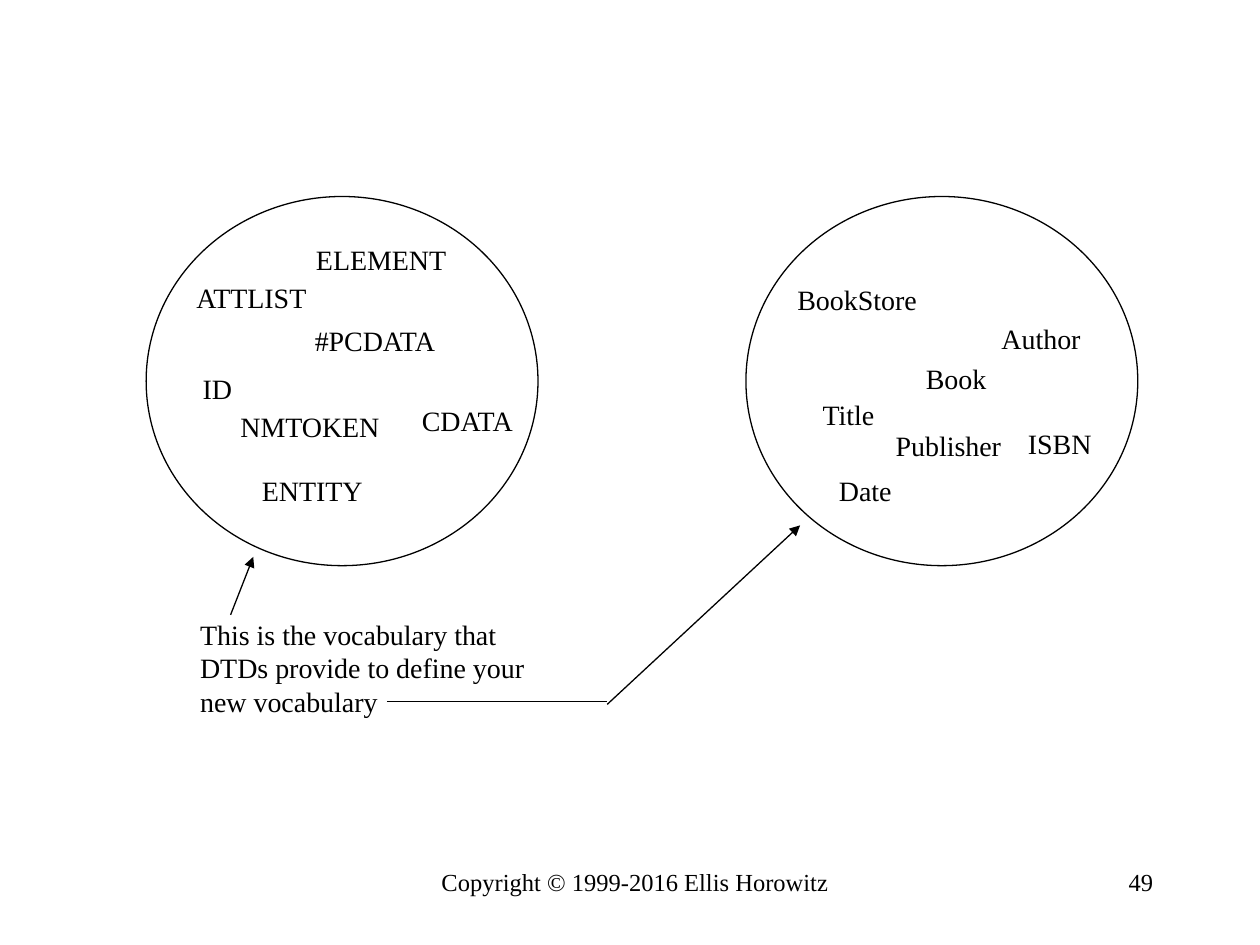
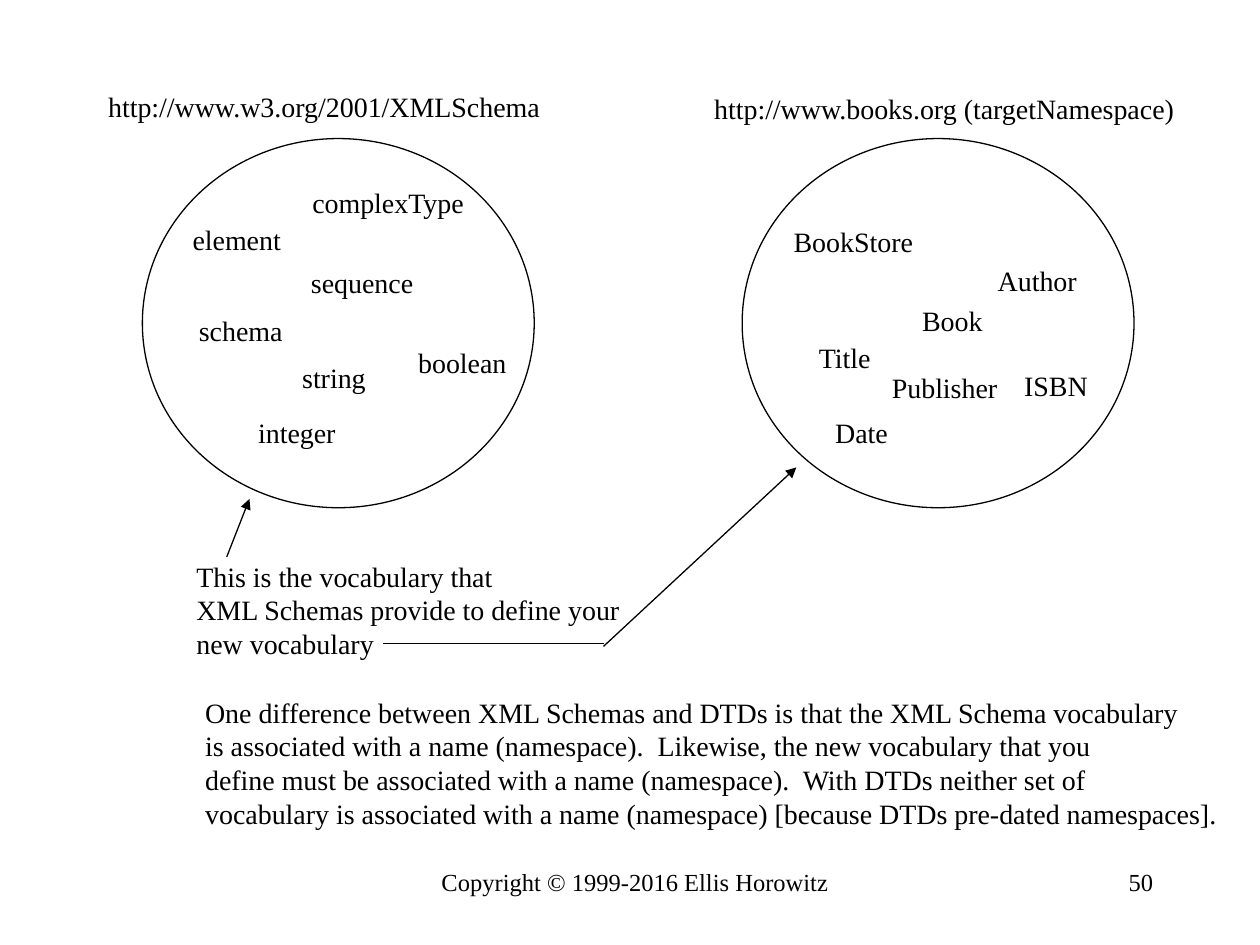
from dataclasses import dataclass

from lxml.etree import SubElement
from pptx import Presentation
from pptx.dml.color import RGBColor
from pptx.enum.shapes import MSO_CONNECTOR, MSO_SHAPE
from pptx.enum.text import MSO_ANCHOR, MSO_AUTO_SIZE, PP_ALIGN
from pptx.oxml.ns import qn
from pptx.util import Inches, Pt


@dataclass(frozen=True)
class Theme:
    font: str = "Times New Roman"
    ink: RGBColor = RGBColor(0, 0, 0)
    paper: RGBColor = RGBColor(255, 255, 255)
    text_size: int = 16
    footer_size: int = 14
    line_width: float = 0.75


COPYRIGHT = "Copyright © 1999-2016 Ellis Horowitz"
CIRCLE_SIZE = (3.11, 2.93)
CIRCLE_STEP = 4.76
LINE_HEIGHT = 0.27

# Word places are measured from the top left corner of the left circle.
LANGUAGE_SPOTS = [(0.3, 0.62), (1.25, 0.32), (0.35, 1.34), (1.24, 0.96),
                  (0.65, 1.64), (0.82, 2.15), (2.09, 1.59)]
BOOK_WORDS = [
    ("BookStore", 1.18, (5.07, 0.63)),
    ("Book", 0.71, (6.09, 1.26)),
    ("Title", 0.65, (5.27, 1.55)),
    ("Author", 0.86, (6.69, 0.94)),
    ("Date", 0.65, (5.4, 2.15)),
    ("ISBN", 0.74, (6.9, 1.78)),
    ("Publisher", 1.07, (5.85, 1.79)),
]
POINTERS = [
    ((0.67, 3.32), (0.85, 2.86), True),
    ((1.91, 4.01), (3.66, 4.01), False),
    ((3.66, 4.03), (5.19, 2.61), True),
]


class PageBuilder:
    def __init__(self, deck, theme):
        self.deck = deck
        self.theme = theme
        self.page = None

    def new_page(self, number):
        self.page = self.deck.slides.add_slide(self.deck.slide_layouts[6])
        fill = self.page.background.fill
        fill.solid()
        fill.fore_color.rgb = self.theme.paper
        self.footer(COPYRIGHT, 3.25, 3.58, PP_ALIGN.CENTER)
        self.footer(str(number), 7.17, 2.08, PP_ALIGN.RIGHT)

    def footer(self, text, left, width, align):
        self.text([text], left, 6.83, width, height=0.5, align=align, wrap=True,
                  size=self.theme.footer_size, auto_size=MSO_AUTO_SIZE.NONE)

    def text(self, lines, left, top, width, height=None, size=None,
             align=PP_ALIGN.LEFT, wrap=False,
             auto_size=MSO_AUTO_SIZE.SHAPE_TO_FIT_TEXT):
        """Places one paragraph per line; the height follows the line count."""
        height = height or 0.1 + LINE_HEIGHT * len(lines)
        box = self.page.shapes.add_textbox(
            Inches(left), Inches(top), Inches(width), Inches(height))
        frame = box.text_frame
        frame_format = {"word_wrap": wrap, "auto_size": auto_size,
                        "vertical_anchor": MSO_ANCHOR.TOP}
        for name, value in frame_format.items():
            setattr(frame, name, value)
        font_format = {"name": self.theme.font,
                       "size": Pt(size or self.theme.text_size)}
        for index, line in enumerate(lines):
            para = frame.add_paragraph() if index else frame.paragraphs[0]
            para.alignment = align
            span = para.add_run()
            span.text = line
            for name, value in font_format.items():
                setattr(span.font, name, value)
            span.font.color.rgb = self.theme.ink

    def outline(self, shape):
        shape.line.color.rgb = self.theme.ink
        shape.line.width = Pt(self.theme.line_width)

    def circle(self, left, top):
        width, height = CIRCLE_SIZE
        shape = self.page.shapes.add_shape(
            MSO_SHAPE.OVAL, Inches(left), Inches(top), Inches(width), Inches(height))
        shape.shadow.inherit = False
        shape.fill.solid()
        shape.fill.fore_color.rgb = self.theme.paper
        self.outline(shape)

    def line(self, start, end, arrow):
        connector = self.page.shapes.add_connector(
            MSO_CONNECTOR.STRAIGHT, *(Inches(value) for value in (*start, *end)))
        self.outline(connector)
        if arrow:
            SubElement(connector.line._get_or_add_ln(), qn("a:tailEnd"), type="triangle")
        SubElement(connector._element.spPr, qn("a:effectLst"))

    def vocabularies(self, origin, language_words, provider, caption_width, moved=None):
        """Draws both circles; moved maps a word to a place other than its usual one."""
        left, top = origin
        moved = moved or {}

        def shift(spot):
            return left + spot[0], top + spot[1]

        for column in range(2):
            self.circle(left + column * CIRCLE_STEP, top)
        words = [(word, width, moved.get(word, spot))
                 for (word, width), spot in zip(language_words, LANGUAGE_SPOTS)]
        for word, width, spot in words + BOOK_WORDS:
            self.text([word], *shift(spot), width)
        caption = ["This is the vocabulary that",
                   f"{provider} provide to define your", "new vocabulary"]
        self.text(caption, *shift((0.33, 3.29)), caption_width, wrap=True)
        for start, end, arrow in POINTERS:
            self.line(shift(start), shift(end), arrow)


def build_dtd_page(builder):
    builder.new_page(49)
    words = [("ATTLIST", 1.13), ("ELEMENT", 1.27), ("ID", 0.47), ("#PCDATA", 1.23),
             ("NMTOKEN", 1.34), ("ENTITY", 1.03), ("CDATA", 0.99)]
    builder.vocabularies((1.16, 1.56), words, "DTDs", 2.87)


def build_schema_page(builder):
    builder.new_page(50)
    words = [("element", 0.93), ("complexType", 1.45), ("schema", 0.9),
             ("sequence", 1.04), ("string", 0.74), ("integer", 0.85), ("boolean", 0.93)]
    builder.vocabularies((1.13, 1.1), words, "XML Schemas", 3.72,
                         moved={"string": (1.17, 1.71)})
    builder.text(["http://www.w3.org/2001/XMLSchema"], 0.76, 0.66, 3.68)
    builder.text(["http://www.books.org (targetNamespace)"], 5.57, 0.68, 3.9)
    builder.text([
        "One difference between XML Schemas and DTDs is that the XML Schema vocabulary",
        "is associated with a name (namespace).  Likewise, the new vocabulary that you",
        "define must be associated with a name (namespace).  With DTDs neither set of",
        "vocabulary is associated with a name (namespace) "
        "[because DTDs pre-dated namespaces].",
    ], 1.53, 5.47, 8.26)


def main():
    deck = Presentation()
    deck.slide_width, deck.slide_height = Inches(10), Inches(7.5)
    builder = PageBuilder(deck, Theme())
    build_dtd_page(builder)
    build_schema_page(builder)
    deck.save("out.pptx")


if __name__ == "__main__":
    main()
